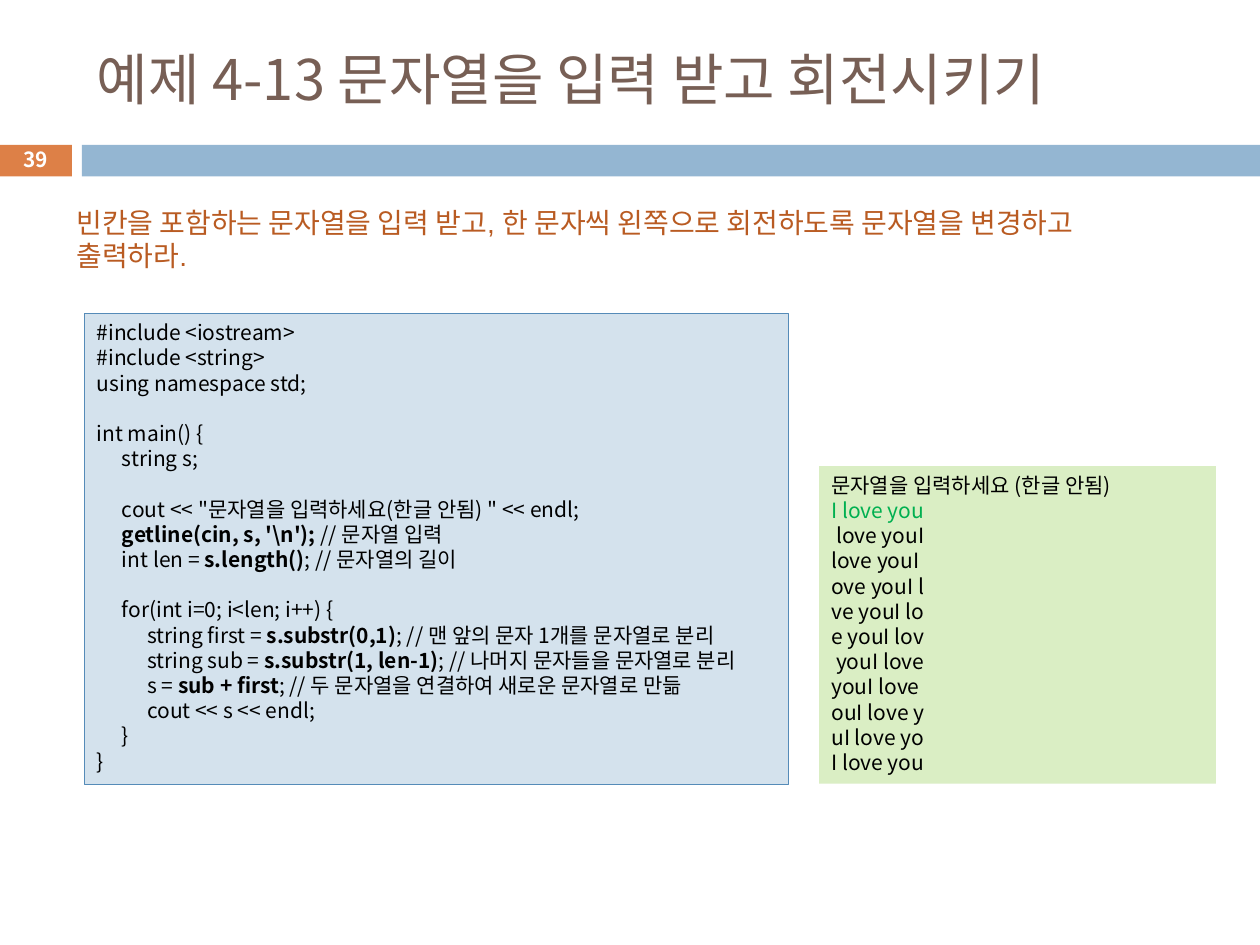
import pptx
import pptx.util
import pptx.dml.color
import pptx.enum.shapes
import pptx.enum.text
import pptx.oxml.ns
import lxml.etree

Pt = pptx.util.Pt
RGBColor = pptx.dml.color.RGBColor
MIDDLE = pptx.enum.text.MSO_ANCHOR.MIDDLE

ORANGE = RGBColor(0xDD, 0x80, 0x47)
BLUE = RGBColor(0x94, 0xB6, 0xD2)
BROWN = RGBColor(0x77, 0x5F, 0x55)
RUST = RGBColor(0xB9, 0x5B, 0x22)
WHITE = RGBColor(0xFF, 0xFF, 0xFF)
BLACK = RGBColor(0, 0, 0)
INPUT_GREEN = RGBColor(0, 0xB0, 0x50)
OUTPUT_FILL = RGBColor(0xDA, 0xEE, 0xC4)
CODE_FILL = RGBColor(0xD4, 0xE2, 0xED)
CODE_BORDER = RGBColor(0x55, 0x8B, 0xB8)

KOREAN_FONT = "Noto Sans CJK KR"
CODE_SIZE = 12
LINE_HEIGHT = 1.2
TAB_WIDTH = 14.4

CODE = r"""#include <iostream>
#include <string>
using namespace std;

int main() {
>string s;

>cout << "문자열을 입력하세요(한글 안됨) " << endl;
>|getline(cin, s, '\n'); |// 문자열 입력
>int len = |s.length()|; // 문자열의 길이

>for(int i=0; i<len; i++) {
>>string first = |s.substr(0,1)|; // 맨 앞의 문자 1개를 문자열로 분리
>>string sub = |s.substr(1, len-1)|; // 나머지 문자들을 문자열로 분리
>>s = |sub + first|; // 두 문자열을 연결하여 새로운 문자열로 만듦
>>cout << s << endl;
>}
}"""
PHRASE = "I love you"


def add_panel(left, top, width, height, fill):
    panel = slide.shapes.add_shape(
        pptx.enum.shapes.MSO_SHAPE.RECTANGLE, Pt(left), Pt(top), Pt(width), Pt(height))
    panel.shadow.inherit = False
    panel.fill.solid()
    panel.fill.fore_color.rgb = fill
    panel.line.fill.background()
    panel.text_frame.word_wrap = True
    panel.text_frame.vertical_anchor = pptx.enum.text.MSO_ANCHOR.TOP
    return panel


def write_line(frame, text, size, color, font=KOREAN_FONT):
    """Add a paragraph; every second part of text between | marks is bold."""
    used = frame.paragraphs[0].runs
    line = frame.add_paragraph() if used else frame.paragraphs[0]
    line.alignment = pptx.enum.text.PP_ALIGN.LEFT
    line.line_spacing = Pt(size * LINE_HEIGHT)
    line.font.size = Pt(size)
    line.font.name = font
    line.font.color.rgb = color
    east_asian = lxml.etree.Element(pptx.oxml.ns.qn("a:ea"), typeface=KOREAN_FONT)
    line.font._element.find(pptx.oxml.ns.qn("a:latin")).addnext(east_asian)
    for index, part in enumerate(text.split("|")):
        run = line.add_run()
        run.text = part
        if index % 2:
            run.font.bold = True
    return line


presentation = pptx.Presentation()
presentation.slide_width = Pt(720)
presentation.slide_height = Pt(540)
slide = presentation.slides.add_slide(presentation.slide_layouts[6])

# Header band
add_panel(-0.7, 82.8, 41.8, 18, ORANGE)
add_panel(46.8, 82.8, 673.2, 18, BLUE)

title = slide.shapes.add_textbox(Pt(48.2), Pt(18), Pt(642.2), Pt(53.3)).text_frame
title.word_wrap = True
title.vertical_anchor = MIDDLE
write_line(title, "예제 4-13 문자열을 입력 받고 회전시키기", 32, BROWN)

page_number = slide.shapes.add_textbox(Pt(-0.7), Pt(81.4), Pt(41.8), Pt(19.4)).text_frame
page_number.word_wrap = True
page_number.vertical_anchor = MIDDLE
number_line = write_line(page_number, "39", 11.9, WHITE)
number_line.alignment = pptx.enum.text.PP_ALIGN.CENTER
number_line.font.bold = True

# Program output: the phrase rotates left by one letter on each line
output = add_panel(468, 266.4, 226.8, 181.4, OUTPUT_FILL).text_frame
write_line(output, "문자열을 입력하세요 (한글 안됨)", CODE_SIZE, BLACK)
write_line(output, PHRASE, CODE_SIZE, INPUT_GREEN)
for shift in range(1, len(PHRASE) + 1):
    write_line(output, PHRASE[shift:] + PHRASE[:shift], CODE_SIZE, BLACK)

# Source code: > marks an indent level, and an empty line becomes space before
code_panel = add_panel(48.2, 179.2, 402.5, 269.2, CODE_FILL)
code_panel.line.color.rgb = CODE_BORDER
code_panel.line.width = Pt(0.75)
gap = 0
for source in CODE.split("\n"):
    if not source:
        gap = CODE_SIZE * LINE_HEIGHT
        continue
    statement = source.lstrip(">")
    level = len(source) - len(statement)
    line = write_line(code_panel.text_frame, "\t" * level + statement, CODE_SIZE, BLACK)
    line.space_before = Pt(gap)
    gap = 0
    tab_list = lxml.etree.Element(pptx.oxml.ns.qn("a:tabLst"))
    for stop in (1, 2):
        lxml.etree.SubElement(tab_list, pptx.oxml.ns.qn("a:tab"),
                              pos=str(Pt(TAB_WIDTH * stop)), algn="l")
    line.font._element.addprevious(tab_list)

task = slide.shapes.add_textbox(Pt(36.7), Pt(113.8), Pt(622.8), Pt(46)).text_frame
task.word_wrap = True
write_line(task, "빈칸을 포함하는 문자열을 입력 받고, 한 문자씩 왼쪽으로 회전하도록 "
           "문자열을 변경하고 출력하라.", 16, RUST, "Arial")

presentation.save("out.pptx")
